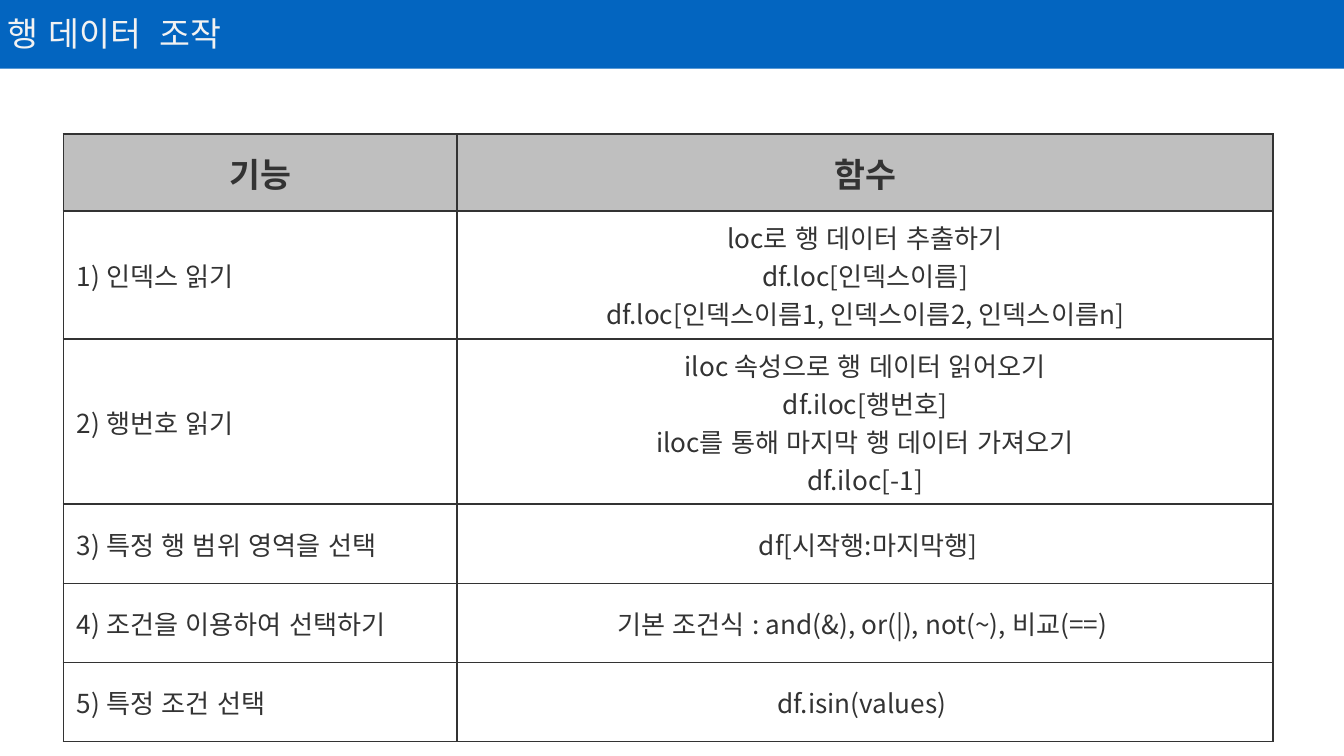
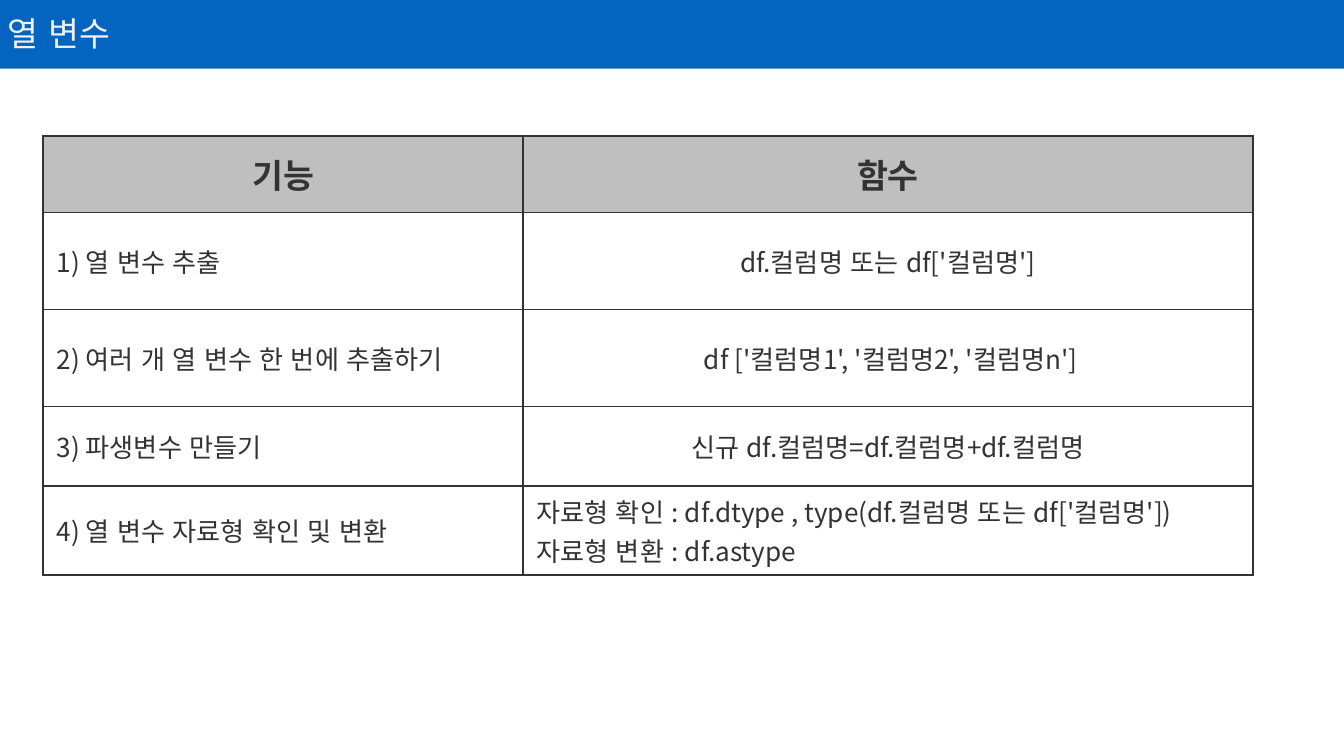
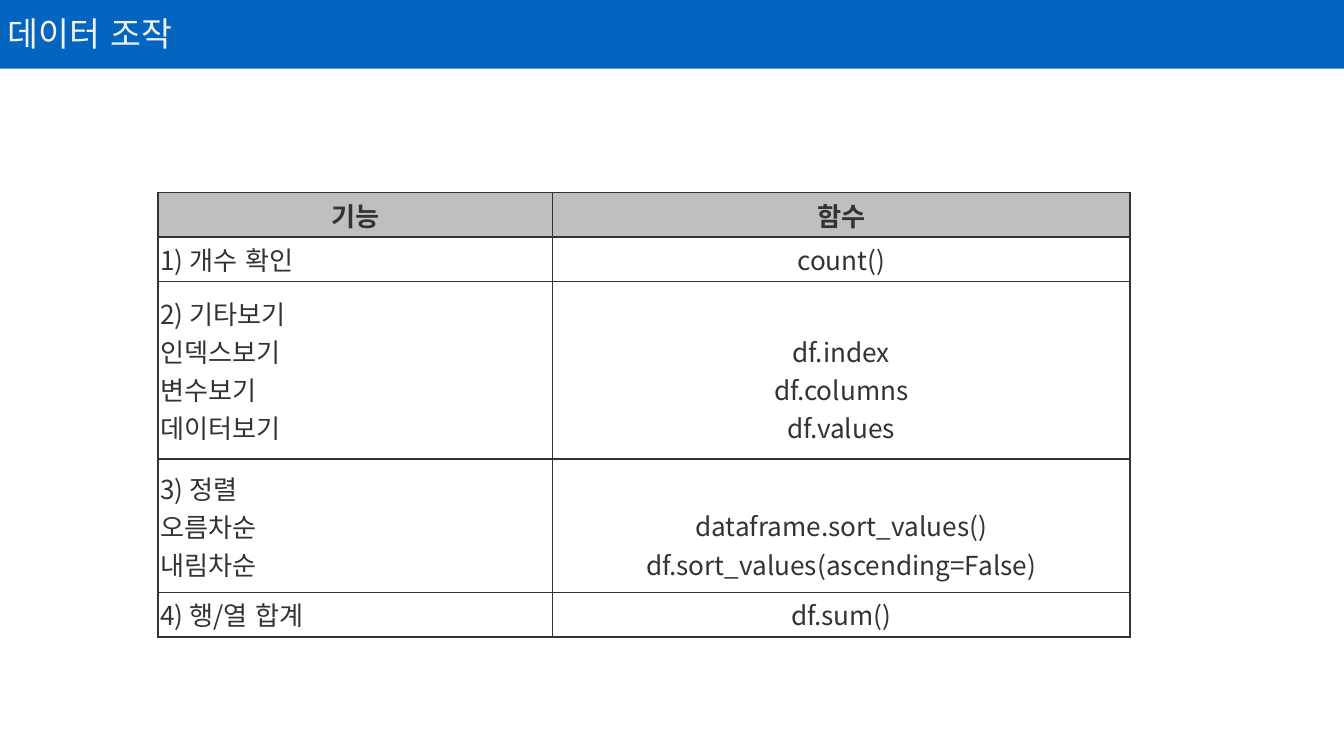
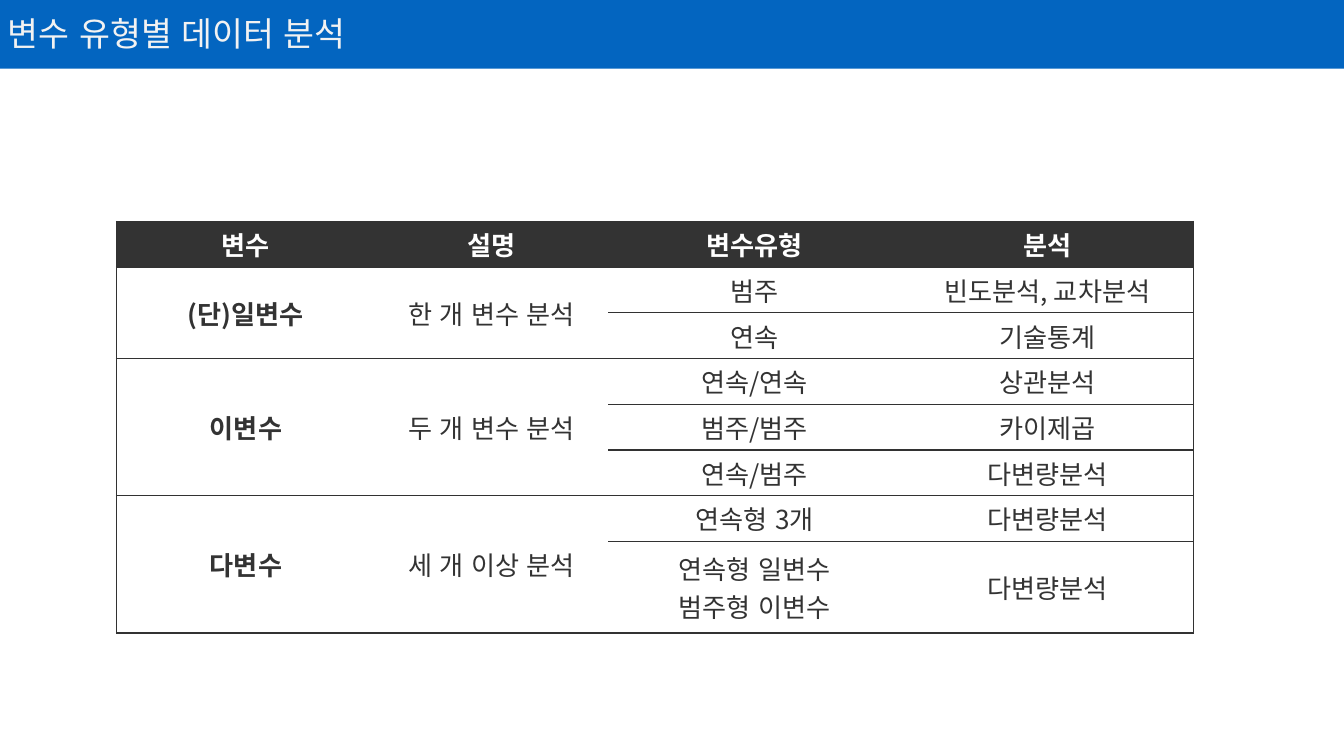
from lxml import etree
from pptx import Presentation
from pptx import util as u
from pptx.dml import color
from pptx.enum import lang, shapes, text
from pptx.oxml import ns

FONT = "Noto Sans CJK KR"
BLUE, GRAY, DARK, INK = "0365C0", "BFBFBF", "333333", "323232"
PALE, WHITE = "F2F2F2", "FFFFFF"
SLIDE_WIDTH, SLIDE_HEIGHT, BAND_HEIGHT = 720, 405, 36.8
LEFT, CENTER = text.PP_ALIGN.LEFT, text.PP_ALIGN.CENTER
MIDDLE = text.MSO_ANCHOR.MIDDLE
KOREAN = lang.MSO_LANGUAGE_ID.KOREAN
LINE_HEIGHT = 20.25

ROW_DATA = [
    ("기능", "함수"),
    ("1) 인덱스 읽기",
     "loc로 행 데이터 추출하기\ndf.loc[인덱스이름]\ndf.loc[인덱스이름1, 인덱스이름2, 인덱스이름n]"),
    ("2) 행번호 읽기",
     "iloc 속성으로 행 데이터 읽어오기\ndf.iloc[행번호]\n"
     "iloc를 통해 마지막 행 데이터 가져오기\ndf.iloc[-1]"),
    ("3) 특정 행 범위 영역을 선택", " df[시작행:마지막행]"),
    ("4) 조건을 이용하여 선택하기", "기본 조건식 : and(&), or(|), not(~), 비교(==) "),
    ("5) 특정 조건 선택", "df.isin(values) "),
]
COLUMN_DATA = [
    ("기능", "함수"),
    ("1) 열 변수 추출", "df.컬럼명 또는 df['컬럼명']"),
    ("2) 여러 개 열 변수 한 번에 추출하기", " df ['컬럼명1', '컬럼명2', '컬럼명n']"),
    ("3) 파생변수 만들기", "신규 df.컬럼명=df.컬럼명+df.컬럼명"),
    ("4) 열 변수 자료형 확인 및 변환",
     "자료형 확인 : df.dtype , type(df.컬럼명 또는 df['컬럼명'])\n자료형 변환 : df.astype"),
]
DATA_HANDLING = [
    ("기능", "함수"),
    ("1) 개수 확인", "count()"),
    ("2) 기타보기\n인덱스보기\n변수보기\n데이터보기", "df.index\ndf.columns\ndf.values"),
    ("3) 정렬\n오름차순\n내림차순",
     "dataframe.sort_values()\ndf.sort_values(ascending=False)"),
    ("4) 행/열 합계", "df.sum()"),
]
ANALYSES = [
    ("변수", "설명", "변수유형", "분석"),
    ("(단)일변수", "한 개 변수 분석", "범주", "빈도분석, 교차분석"),
    ("", "", "연속", "기술통계"),
    ("이변수", "두 개 변수 분석", "연속/연속", "상관분석"),
    ("", "", "범주/범주", "카이제곱"),
    ("", "", "연속/범주", "다변량분석"),
    ("다변수", "세 개 이상 분석", "연속형 3개", "다변량분석"),
    ("", "", "연속형 일변수\n범주형 이변수", "다변량분석"),
]


def rgb(code):
    """Turn a hex string into a colour."""
    return color.RGBColor.from_string(code)


def set_values(target, values):
    """Set each attribute named in values."""
    for name, value in values.items():
        setattr(target, name, value)


def style_paragraphs(frame, ink, size, bold=False, align=LEFT):
    """Give every paragraph of a frame one look."""
    for paragraph in frame.paragraphs:
        paragraph.alignment = align
        for run in paragraph.runs:
            set_values(run.font, {"name": FONT, "size": u.Pt(size), "bold": bold,
                                  "language_id": KOREAN})
            run.font.color.rgb = rgb(ink)
            east_asian = etree.SubElement(run.font._element, ns.qn("a:ea"))
            east_asian.set("typeface", FONT)


def add_titled_slide(deck, heading):
    """Add a slide with the blue band and its heading."""
    slide = deck.slides.add_slide(deck.slide_layouts[6])
    band = slide.shapes.add_shape(shapes.MSO_SHAPE.RECTANGLE, 0, 0,
                                  u.Pt(SLIDE_WIDTH), u.Pt(BAND_HEIGHT))
    band.shadow.inherit = False
    band.fill.solid()
    band.fill.fore_color.rgb = rgb(BLUE)
    band.line.fill.background()
    title = slide.shapes.add_textbox(0, u.Pt(7.7), u.Pt(407.5), u.Pt(22.3))
    frame = title.text_frame
    margins = ("margin_left", "margin_top", "margin_right", "margin_bottom")
    set_values(frame, dict.fromkeys(margins, u.Pt(4.3)))
    set_values(frame, {"word_wrap": True, "vertical_anchor": MIDDLE, "text": heading})
    frame.paragraphs[0].line_spacing = 0.9
    style_paragraphs(frame, PALE, 18)
    return slide


def set_borders(cell, drawn, ink, width):
    """Draw the sides listed in drawn and clear the others."""
    properties = cell._tc.get_or_add_tcPr()
    for side in "LRTB":
        line = etree.SubElement(properties, ns.qn(f"a:ln{side}"), w=str(u.Pt(width)))
        if side in drawn:
            fill = etree.SubElement(line, ns.qn("a:solidFill"))
            etree.SubElement(fill, ns.qn("a:srgbClr"), val=ink)
        else:
            etree.SubElement(line, ns.qn("a:noFill"))


def add_grid(slide, left, top, widths, heights, rows):
    """Add an unstyled table holding the rows of wording."""
    grid = slide.shapes.add_table(len(rows), len(widths), u.Pt(left), u.Pt(top),
                                  u.Pt(sum(widths)), u.Pt(sum(heights))).table
    set_values(grid, {"first_row": False, "horz_banding": False})
    for column, width in zip(grid.columns, widths):
        column.width = u.Pt(width)
    for row, height, wording in zip(grid.rows, heights, rows):
        row.height = u.Pt(height)
        for cell, words in zip(row.cells, wording):
            set_values(cell, {"text": words, "vertical_anchor": MIDDLE})
    return grid


def set_tight_margins(cell, side):
    """Leave only a narrow margin at the left and right of a cell."""
    set_values(cell, {"margin_left": u.Pt(side), "margin_right": u.Pt(side),
                      "margin_top": 0, "margin_bottom": 0})


def fill_cell(cell, code=None):
    """Fill a cell, or leave it clear."""
    if code:
        cell.fill.solid()
        cell.fill.fore_color.rgb = rgb(code)
    else:
        cell.fill.background()


def add_function_table(slide, left, top, widths, heights, rows, header_size=18, side=None):
    """Add a table of features and functions under a gray header."""
    grid = add_grid(slide, left, top, widths, heights, rows)
    for r, row in enumerate(grid.rows):
        for c, cell in enumerate(row.cells):
            header = r == 0
            set_borders(cell, "LRTB", DARK, 1)
            fill_cell(cell, GRAY if header else None)
            style_paragraphs(cell.text_frame, DARK, header_size if header else 14,
                             header, CENTER if header or c else LEFT)
            if side is not None:
                set_tight_margins(cell, side)
    return grid


def add_analysis_table(slide, left, top, widths, heights, rows, groups):
    """Add a table of analyses whose first two columns merge by group."""
    grid = add_grid(slide, left, top, widths, heights, rows)
    for first, last in groups:
        for c in (0, 1):
            grid.cell(first, c).merge(grid.cell(last, c))
    for r, row in enumerate(grid.rows):
        for c, cell in enumerate(row.cells):
            header = r == 0
            drawn = "TB" if not cell.is_spanned else "B" if r == len(rows) - 1 else ""
            drawn += {0: "L", len(widths) - 1: "R"}.get(c, "")
            set_borders(cell, drawn, INK, 0.75)
            fill_cell(cell, DARK if header else None)
            style_paragraphs(cell.text_frame, WHITE if header else DARK, 14,
                             header or c == 0, CENTER)
            set_tight_margins(cell, 2.2)


def main():
    """Build the four slides and save them."""
    deck = Presentation()
    set_values(deck, {"slide_width": u.Pt(SLIDE_WIDTH), "slide_height": u.Pt(SLIDE_HEIGHT)})

    slide = add_titled_slide(deck, "행 데이터  조작")
    add_function_table(slide, 34, 71.9, [211, 437],
                       [41.2, 68.5, 88.6] + [42.4] * 3, ROW_DATA)

    slide = add_titled_slide(deck, "열 변수")
    column_table = add_function_table(slide, 23.1, 72.7, [257.1, 391],
                                      [41.2, 52, 52, 42.4, 47.8], COLUMN_DATA)
    for paragraph in column_table.cell(4, 1).text_frame.paragraphs:
        paragraph.alignment = LEFT

    slide = add_titled_slide(deck, "데이터 조작")
    handling_table = add_function_table(slide, 84.7, 103.2, [211.3, 309.5],
                                        [23.8, 23.8, 95.2, 71.4, 23.8],
                                        DATA_HANDLING, 14, 1.2)
    for r in (2, 3):
        handling_table.cell(r, 1).margin_top = u.Pt(LINE_HEIGHT)

    slide = add_titled_slide(deck, "변수 유형별 데이터 분석")
    add_analysis_table(slide, 62.4, 118.6, [138.8, 124.6, 156.9, 156.9],
                       [24.5] * 7 + [49.1], ANALYSES, [(1, 2), (3, 5), (6, 7)])
    deck.save("out.pptx")


if __name__ == "__main__":
    main()
